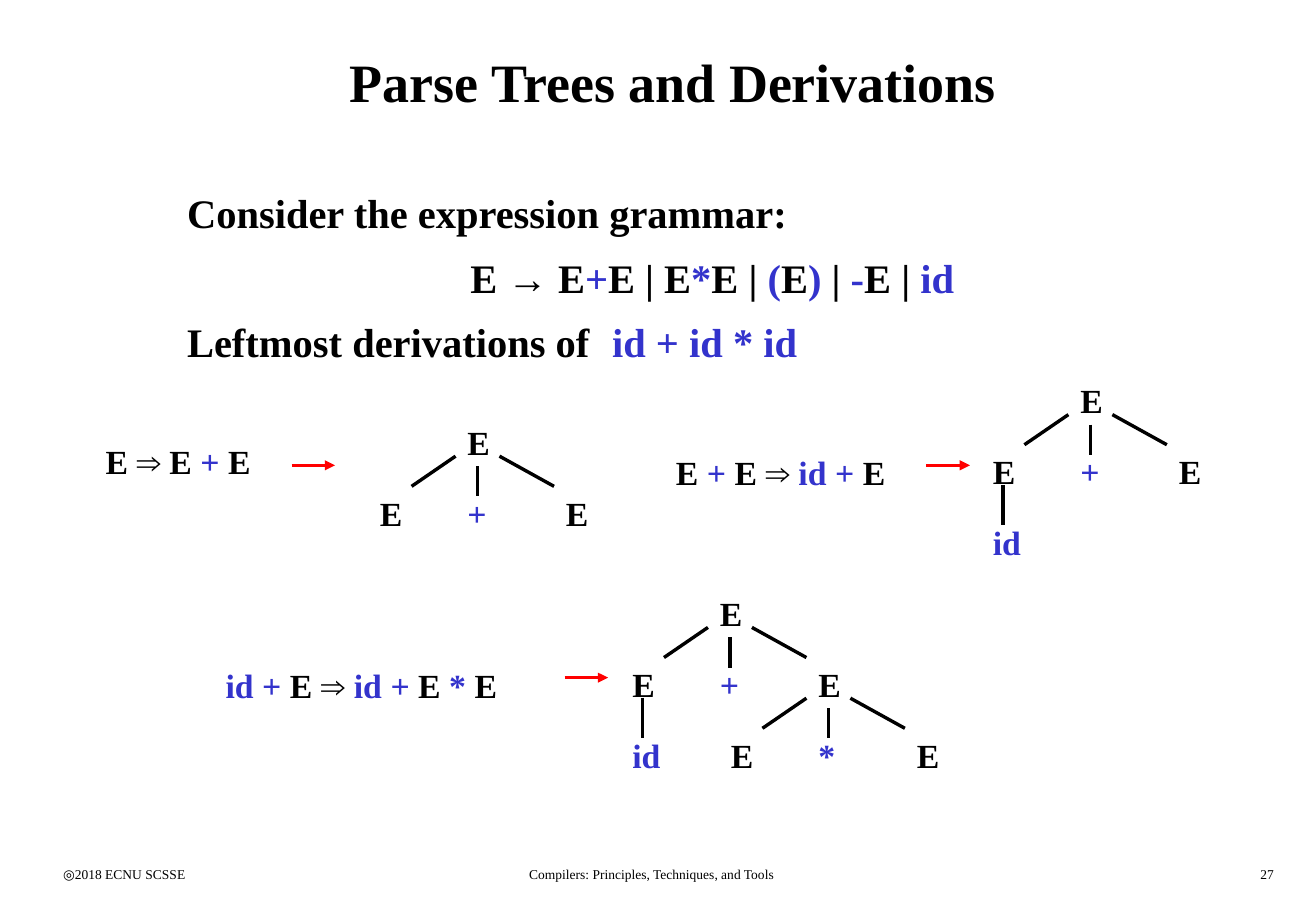
"""Build the slide on parse trees and leftmost derivations."""
from itertools import groupby

from lxml.etree import SubElement
from pptx import Presentation
from pptx.dml.color import RGBColor
from pptx.enum.shapes import MSO_CONNECTOR
from pptx.enum.text import MSO_ANCHOR, MSO_AUTO_SIZE, PP_ALIGN
from pptx.oxml.ns import qn
from pptx.util import Cm, Pt

BLACK, BLUE, RED = "000000", "3333CC", "FF0000"
SERIF, SANS = "Times New Roman", "Arial"


def rgb(color):
    return RGBColor.from_string(color)


def grammar_style(symbol):
    font = SANS if symbol in "→⇒" else SERIF
    return font, BLUE if symbol in "id+*()-" else BLACK


def write(paragraph, text, size=20, bold=True, grammar=False, align=PP_ALIGN.LEFT):
    paragraph.alignment = align
    styled = groupby(text, grammar_style) if grammar else [((SERIF, BLACK), text)]
    for (font, color), letters in styled:
        run = paragraph.add_run()
        run.text = "".join(letters)
        run.font.name, run.font.size, run.font.bold = font, Pt(size), bold
        run.font.color.rgb = rgb(color)


class ParseTreeSlide:
    LEFT, RIGHT, DOWN = 1.83, 2.06, 1.48
    STEM = 0.46

    def __init__(self, deck):
        self.slide = deck.slides.add_slide(deck.slide_layouts[1])

    def place(self, shape, x, y, width, height):
        shape.left, shape.top, shape.width, shape.height = map(Cm, (x, y, width, height))
        shape.text_frame.auto_size = MSO_AUTO_SIZE.NONE
        shape.text_frame.word_wrap = True

    def title(self, text):
        heading = self.slide.shapes.title
        self.place(heading, 1.07, 0.43, 26.03, 2.54)
        heading.text_frame.vertical_anchor = MSO_ANCHOR.MIDDLE
        write(heading.text_frame.paragraphs[0], text, size=32, align=PP_ALIGN.CENTER)

    def body(self, lines, tab_stop):
        grammar_text = self.slide.placeholders[1]
        self.place(grammar_text, 3.66, 3.81, 22.48, 3.96)
        frame = grammar_text.text_frame
        for index, (align, parts) in enumerate(lines):
            paragraph = frame.add_paragraph() if index else frame.paragraphs[0]
            properties = paragraph._p.get_or_add_pPr()
            properties.set("marL", "0")
            properties.set("indent", "0")
            SubElement(properties, qn("a:buNone"))
            tabs = SubElement(properties, qn("a:tabLst"))
            SubElement(tabs, qn("a:tab"), pos=str(Cm(tab_stop)), algn="l")
            paragraph.space_before = Pt(15 if index else 0)
            paragraph.line_spacing = 0.8 if index else 1.0
            for text, grammar in parts:
                write(paragraph, text, size=24, grammar=grammar, align=align)

    def label(self, text, x, y, width=1.6, height=1.12, **style):
        box = self.slide.shapes.add_textbox(0, 0, 0, 0)
        self.place(box, x, y, width, height)
        write(box.text_frame.paragraphs[0], text, **style)

    def line(self, x1, y1, x2, y2, color=BLACK, arrow=False):
        edge = self.slide.shapes.add_connector(
            MSO_CONNECTOR.STRAIGHT, *map(Cm, (x1, y1, x2, y2)))
        edge.line.color.rgb = rgb(color)
        edge.line.width = Pt(2)
        if arrow:
            SubElement(edge.line._get_or_add_ln(), qn("a:tailEnd"), type="triangle")
        SubElement(edge._element.spPr, qn("a:effectLst"))

    def node(self, symbol, x, y):
        self.label(symbol, x, y, grammar=True)

    def branch(self, operator, x, y):
        row = y + self.DOWN
        for symbol, offset in (("E", -self.LEFT), (operator, 0), ("E", self.RIGHT)):
            self.node(symbol, x + offset, row)
        self.line(x - 2 * self.STEM, row, x, y + 0.85)
        self.line(x + self.STEM, y + 1.06, x + self.STEM, y + 1.69)
        self.line(x + 2 * self.STEM, y + 0.85, x + self.RIGHT, row)

    def leaf(self, x, y):
        self.line(x + self.STEM, y + 0.84, x + self.STEM, y + 1.68)
        self.node("id", x, y + self.DOWN)

    def tree(self, x, y, identified=False, product=False):
        self.node("E", x, y)
        self.branch("+", x, y)
        if identified:
            self.leaf(x - self.LEFT, y + self.DOWN)
        if product:
            self.branch("*", x + self.RIGHT, y + self.DOWN)

    def derivation(self, text, x, y, width, arrow_x, arrow_y):
        self.label(text, x, y, width, grammar=True)
        self.line(arrow_x, arrow_y, arrow_x + 0.91, arrow_y, RED, arrow=True)


def main():
    deck = Presentation()
    deck.slide_width, deck.slide_height = Cm(27.53), Cm(19.05)
    page = ParseTreeSlide(deck)
    page.title("Parse Trees and Derivations")
    page.body([
        (PP_ALIGN.LEFT, [("Consider the expression grammar:", False)]),
        (PP_ALIGN.CENTER, [("E → E+E | E*E | (E) | -E | id", True)]),
        (PP_ALIGN.LEFT, [("Leftmost derivations of\t", False), ("id + id * id", True)]),
    ], tab_stop=9.6)

    page.derivation("E ⇒ E + E", 1.96, 9.09, 4.37, 6.1, 9.73)
    page.tree(9.53, 8.69)
    page.derivation("E + E ⇒ id + E", 13.89, 9.32, 5.51, 19.38, 9.73)
    page.tree(22.35, 7.82, identified=True)
    page.derivation("id + E ⇒ id + E * E", 4.47, 13.77, 7.34, 11.81, 14.17)
    page.tree(14.81, 12.27, identified=True, product=True)

    for text, x, width, align in (
        ("◎2018 ECNU SCSSE", 1.07, 5.74, PP_ALIGN.LEFT),
        ("Compilers: Principles, Techniques, and Tools", 8.48, 10.31, PP_ALIGN.CENTER),
        ("27", 21.16, 5.74, PP_ALIGN.RIGHT),
    ):
        page.label(text, x, 17.98, width, 0.64, size=8, bold=False, align=align)
    deck.save("out.pptx")


if __name__ == "__main__":
    main()
